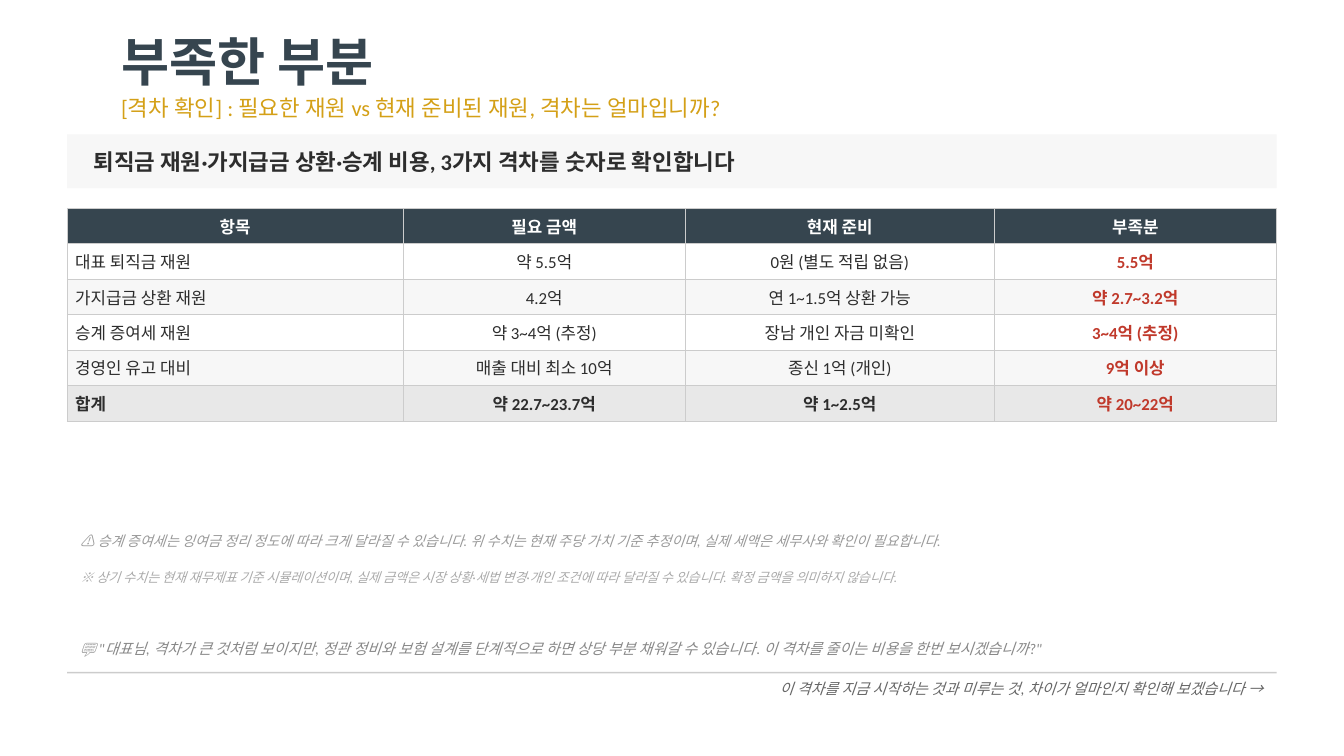
import dataclasses

import lxml.etree
import pptx
import pptx.dml.color
import pptx.enum.shapes
import pptx.enum.text
import pptx.oxml.ns
import pptx.util

Cm = pptx.util.Cm
ALIGN = pptx.enum.text.PP_ALIGN


@dataclasses.dataclass(frozen=True)
class Font:
    size: float
    color: str
    name: str = "Calibri"
    bold: bool = False
    italic: bool = False


class Theme:
    # Colours
    navy, white, pale, total, rule = "36454F", "FFFFFF", "F7F7F7", "E8E8E8", "CCCCCC"
    # Type
    title = Font(28, navy, "Cambria", bold=True)
    lead = Font(12, "D4A017")
    claim = Font(12, "2D2D2D", bold=True)
    head = Font(9, white, bold=True)
    cell = Font(9, "2D2D2D")
    sum = Font(9, "2D2D2D", bold=True)
    gap = Font(9, "C0392B", bold=True)
    warn = Font(7.5, "999999", italic=True)
    note = Font(7, "AAAAAA", italic=True)
    quote = Font(8, "888888", italic=True)
    close = Font(8, "666666", italic=True)


def rgb(code):
    return pptx.dml.color.RGBColor.from_string(code)


class Page:
    def __init__(self, slide, theme):
        self.slide, self.theme = slide, theme

    def label(self, frame, words, font, align=ALIGN.LEFT):
        frame.word_wrap = True
        line = frame.paragraphs[0]
        line.text, line.alignment = words, align
        line.font.name, line.font.size = font.name, pptx.util.Pt(font.size)
        line.font.bold, line.font.italic = font.bold, font.italic
        line.font.color.rgb = rgb(font.color)

    def fit(self, frame, inset):
        frame.auto_size = pptx.enum.text.MSO_AUTO_SIZE.NONE
        frame.vertical_anchor = pptx.enum.text.MSO_ANCHOR.MIDDLE
        if not inset:
            frame.margin_left = frame.margin_right = 0
            frame.margin_top = frame.margin_bottom = 0

    def title(self, words, left, top, width, height):
        shape = self.slide.shapes.title
        shape.left, shape.top = Cm(left), Cm(top)
        shape.width, shape.height = Cm(width), Cm(height)
        self.fit(shape.text_frame, inset=False)
        self.label(shape.text_frame, words, self.theme.title)

    def text(self, words, font, left, top, width, height, align=ALIGN.LEFT, inset=True):
        box = self.slide.shapes.add_textbox(Cm(left), Cm(top), Cm(width), Cm(height))
        self.fit(box.text_frame, inset)
        self.label(box.text_frame, words, font, align)

    def bar(self, color, left, top, width, height):
        kind = pptx.enum.shapes.MSO_SHAPE.RECTANGLE
        bar = self.slide.shapes.add_shape(kind, Cm(left), Cm(top), Cm(width), Cm(height))
        bar.shadow.inherit = False
        bar.fill.solid()
        bar.fill.fore_color.rgb = rgb(color)
        bar.line.fill.background()

    def edge(self, cell):
        props = cell._tc.get_or_add_tcPr()
        name = pptx.oxml.ns.qn
        for side in ("a:lnL", "a:lnR", "a:lnT", "a:lnB"):
            line = lxml.etree.SubElement(props, name(side), w=str(pptx.util.Pt(0.5)))
            fill = lxml.etree.SubElement(line, name("a:solidFill"))
            lxml.etree.SubElement(fill, name("a:srgbClr"), val=self.theme.rule)

    def look(self, row, col, count):
        """Return the fill and font of one table cell."""
        look = self.theme
        if row == 0:
            return look.navy, look.head
        last = row == count - 1
        fill = look.total if last else (look.pale, look.white)[row % 2]
        if col == 3:
            return fill, look.gap
        return fill, look.sum if last else look.cell

    def table(self, rows, widths, left, top, height):
        frame = self.slide.shapes.add_table(
            len(rows), len(widths), Cm(left), Cm(top), Cm(sum(widths)), Cm(height * len(rows)))
        table = frame.table
        table.horz_banding = False
        for column, width in zip(table.columns, widths):
            column.width = Cm(width)
        for r, row in enumerate(rows):
            table.rows[r].height = Cm(height)
            for c, words in enumerate(row):
                cell = table.cell(r, c)
                fill, font = self.look(r, c, len(rows))
                self.edge(cell)
                cell.fill.solid()
                cell.fill.fore_color.rgb = rgb(fill)
                cell.margin_left = cell.margin_right = Cm(0.15)
                cell.margin_top = cell.margin_bottom = Cm(0.1)
                align = ALIGN.LEFT if c == 0 and r else ALIGN.CENTER
                self.label(cell.text_frame, words, font, align)


def main():
    deck = pptx.Presentation()
    deck.slide_width, deck.slide_height = Cm(25.4), Cm(14.29)
    look = Theme()
    page = Page(deck.slides.add_slide(deck.slide_layouts[5]), look)
    left, width = 1.27, 22.86

    # Heading
    page.title("부족한 부분", 2.29, 0.51, 21.84, 1.27)
    page.text("[격차 확인] : 필요한 재원 vs 현재 준비된 재원, 격차는 얼마입니까?",
              look.lead, 2.29, 1.65, 21.84, 0.76, inset=False)

    # Key claim
    page.bar(look.pale, left, 2.54, width, 1.02)
    page.text("퇴직금 재원·가지급금 상환·승계 비용, 3가지 격차를 숫자로 확인합니다",
              look.claim, 1.52, 2.54, 22.35, 1.02)

    # Funding gaps
    rows = [
        ("항목", "필요 금액", "현재 준비", "부족분"),
        ("대표 퇴직금 재원", "약 5.5억", "0원 (별도 적립 없음)", "5.5억"),
        ("가지급금 상환 재원", "4.2억", "연 1~1.5억 상환 가능", "약 2.7~3.2억"),
        ("승계 증여세 재원", "약 3~4억 (추정)", "장남 개인 자금 미확인", "3~4억 (추정)"),
        ("경영인 유고 대비", "매출 대비 최소 10억", "종신 1억 (개인)", "9억 이상"),
        ("합계", "약 22.7~23.7억", "약 1~2.5억", "약 20~22억"),
    ]
    page.table(rows, (6.35, 5.33, 5.84, 5.33), left, 3.94, 0.67)

    # Caveats and closing words
    notes = [
        ("⚠ 승계 증여세는 잉여금 정리 정도에 따라 크게 달라질 수 있습니다. "
         "위 수치는 현재 주당 가치 기준 추정이며, 실제 세액은 세무사와 확인이 필요합니다.",
         look.warn, 9.78, 0.89),
        ("※ 상기 수치는 현재 재무제표 기준 시뮬레이션이며, 실제 금액은 시장 상황·세법 변경·"
         "개인 조건에 따라 달라질 수 있습니다. 확정 금액을 의미하지 않습니다.",
         look.note, 10.54, 0.76),
        ('💬 "대표님, 격차가 큰 것처럼 보이지만, 정관 정비와 보험 설계를 단계적으로 하면 '
         '상당 부분 채워갈 수 있습니다. 이 격차를 줄이는 비용을 한번 보시겠습니까?"',
         look.quote, 11.81, 0.89),
    ]
    for words, font, top, height in notes:
        page.text(words, font, left, top, width, height)

    # Lead-in to the next page
    page.bar(look.rule, left, 12.7, width, 0.03)
    page.text("이 격차를 지금 시작하는 것과 미루는 것, 차이가 얼마인지 확인해 보겠습니다 →",
              look.close, left, 12.57, width, 0.89, ALIGN.RIGHT)

    deck.save("out.pptx")


if __name__ == "__main__":
    main()
